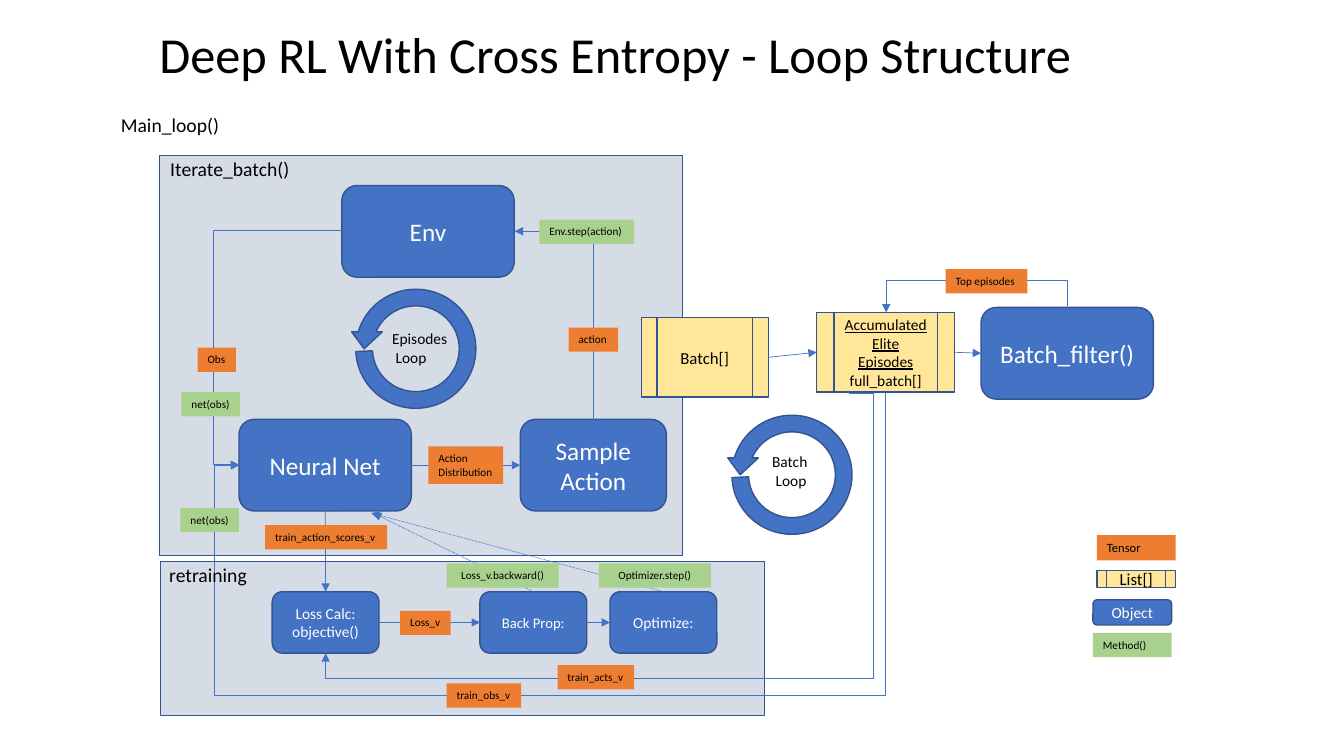
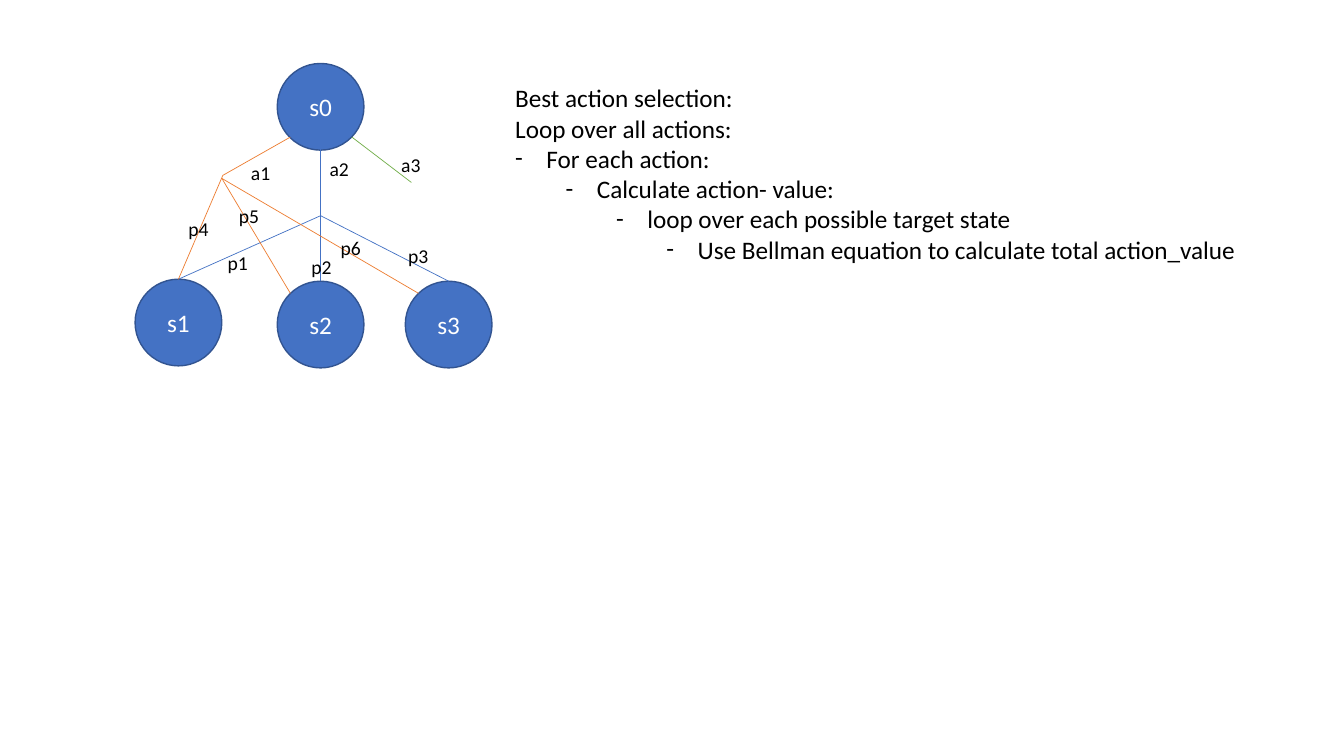
from dataclasses import dataclass
from enum import IntEnum
from typing import Optional

from lxml import etree
from pptx import Presentation
from pptx import util as u
from pptx.dml.color import RGBColor
from pptx.enum import dml, shapes, text
from pptx.oxml import ns

FONT = "Calibri"
BLUE, NAVY, ORANGE, GREEN = "4472C4", "325491", "ED7D31", "70AD47"
BLACK, WHITE = "000000", "FFFFFF"
CENTER, LEFT = text.PP_ALIGN.CENTER, text.PP_ALIGN.LEFT
MIDDLE, TOP = text.MSO_ANCHOR.MIDDLE, text.MSO_ANCHOR.TOP
PRESET = shapes.MSO_SHAPE
MARGIN = 0.1


class Side(IntEnum):
    """Connection sites of a rectangular shape."""
    TOP = 0
    LEFT = 1
    BOTTOM = 2
    RIGHT = 3


@dataclass(frozen=True)
class Style:
    """Look of one family of boxes."""
    preset: shapes.MSO_SHAPE
    fill: str
    outline: Optional[str] = NAVY
    ink: str = BLACK
    align: text.PP_ALIGN = CENTER
    anchor: text.MSO_ANCHOR = MIDDLE


PANEL = Style(PRESET.RECTANGLE, "D6DCE5")
OBJECT = Style(PRESET.ROUNDED_RECTANGLE, BLUE, ink=WHITE)
STATE = Style(PRESET.OVAL, BLUE, ink=WHITE)
LIST = Style(PRESET.FLOWCHART_PREDEFINED_PROCESS, "FFE699")
LOOP = Style(PRESET.CIRCULAR_ARROW, BLUE)
TENSOR = Style(PRESET.RECTANGLE, ORANGE, None, align=LEFT, anchor=TOP)
METHOD = Style(PRESET.RECTANGLE, "A9D18E", None, align=LEFT, anchor=TOP)
CALL = Style(PRESET.RECTANGLE, "A9D18E", None, anchor=TOP)


@dataclass(frozen=True)
class Box:
    """A styled shape with optional text."""
    style: Style
    left: float
    top: float
    width: float
    height: float
    words: str = ""
    size: float = 8


@dataclass(frozen=True)
class Label:
    """Plain black text."""
    words: str
    left: float
    top: float
    width: float = 0.41
    height: float = 0.34
    size: float = 14


@dataclass(frozen=True)
class Glue:
    """A straight arrow between two named boxes."""
    start: str
    start_side: Side
    end: str
    end_side: Side


@dataclass(frozen=True)
class Elbow:
    """A bent arrow: ends, unrotated frame, turn, flips and bends."""
    start: Optional[tuple[str, Side]]
    end: tuple[str, Side]
    frame: tuple[float, float, float, float]
    turn: int
    flips: str
    preset: str
    bends: tuple[float, ...] = ()


@dataclass(frozen=True)
class Segment:
    """A straight line between two points."""
    start: tuple[float, float]
    end: tuple[float, float]
    colour: str = BLUE


def rgb(value: str) -> RGBColor:
    """Turn a hex string into a colour."""
    return RGBColor.from_string(value)


def place(shape, left: float, top: float, width: float, height: float) -> None:
    """Set position and size in inches."""
    shape.left, shape.top = u.Inches(left), u.Inches(top)
    shape.width, shape.height = u.Inches(width), u.Inches(height)


def format_text(frame, size: float, ink: str = BLACK, align=LEFT, anchor=TOP) -> None:
    """Format every paragraph of a text frame."""
    frame.word_wrap = True
    frame.auto_size = text.MSO_AUTO_SIZE.NONE
    frame.vertical_anchor = anchor
    frame.margin_left = u.Inches(MARGIN)
    frame.margin_right = u.Inches(MARGIN if align == CENTER else 0)
    frame.margin_top = frame.margin_bottom = u.Inches(0.05)
    for paragraph in frame.paragraphs:
        paragraph.alignment = align
        paragraph.font.name = FONT
        paragraph.font.size = u.Pt(size)
        paragraph.font.color.rgb = rgb(ink)


def add_box(slide, box: Box):
    """Draw one box and return its shape."""
    style = box.style
    shape = slide.shapes.add_shape(style.preset, 0, 0, 0, 0)
    place(shape, box.left, box.top, box.width, box.height)
    shape.shadow.inherit = False
    shape.fill.solid()
    shape.fill.fore_color.rgb = rgb(style.fill)
    if style.outline:
        shape.line.color.rgb = rgb(style.outline)
        shape.line.width = u.Pt(1)
    else:
        shape.line.fill.background()
    if box.words:
        shape.text_frame.text = box.words
        format_text(shape.text_frame, box.size, style.ink, style.align, style.anchor)
    return shape


def add_loop(slide, left: float, top: float) -> None:
    """Draw a mirrored circular arrow."""
    shape = add_box(slide, Box(LOOP, left, top, 1.33, 1.32))
    for index, value in enumerate((0.125, 11.42, 204.58, 1.61, 0.115)):
        shape.adjustments[index] = value
    shape._element.spPr.find(ns.qn("a:xfrm")).set("flipH", "1")


def add_label(slide, label: Label) -> None:
    """Draw plain text."""
    shape = slide.shapes.add_textbox(0, 0, 0, 0)
    place(shape, label.left, label.top, label.width, label.height)
    shape.text_frame.text = label.words
    format_text(shape.text_frame, label.size)


def new_connector(slide, colour: str = BLUE, arrow: bool = True, dotted: bool = False,
                  start=(0, 0), end=(0, 0), kind=shapes.MSO_CONNECTOR.STRAIGHT):
    """Draw a thin connector without a shadow."""
    points = [u.Inches(value) for value in (*start, *end)]
    connector = slide.shapes.add_connector(kind, *points)
    connector.line.color.rgb = rgb(colour)
    connector.line.width = u.Pt(0.5)
    if dotted:
        connector.line.dash_style = dml.MSO_LINE.ROUND_DOT
    properties = connector._element.spPr
    if arrow:
        outline = properties.find(ns.qn("a:ln"))
        etree.SubElement(outline, ns.qn("a:tailEnd"), type="triangle")
    etree.SubElement(properties, ns.qn("a:effectLst"))
    return connector


def add_glue(slide, glue: Glue, nodes: dict) -> None:
    """Connect two boxes with a straight arrow."""
    connector = new_connector(slide)
    connector.begin_connect(nodes[glue.start], glue.start_side)
    connector.end_connect(nodes[glue.end], glue.end_side)


def add_elbow(slide, elbow: Elbow, nodes: dict) -> None:
    """Connect boxes with a bent arrow on a given route."""
    connector = new_connector(slide, kind=shapes.MSO_CONNECTOR.ELBOW)
    if elbow.start:
        connector.begin_connect(nodes[elbow.start[0]], elbow.start[1])
    connector.end_connect(nodes[elbow.end[0]], elbow.end[1])
    place(connector, *elbow.frame)
    frame = connector._element.spPr.find(ns.qn("a:xfrm"))
    frame.attrib.clear()
    frame.set("rot", str(elbow.turn * 60000))
    for flip in elbow.flips:
        frame.set("flip" + flip, "1")
    geometry = connector._element.spPr.find(ns.qn("a:prstGeom"))
    geometry.set("prst", elbow.preset)
    guides = geometry.find(ns.qn("a:avLst"))
    for number, bend in enumerate(elbow.bends, 1):
        etree.SubElement(guides, ns.qn("a:gd"), name=f"adj{number}",
                         fmla=f"val {round(bend * 100000)}")


def build_loop_slide(presentation) -> None:
    """Build the training loop diagram."""
    slide = presentation.slides.add_slide(presentation.slide_layouts[5])
    title = slide.shapes.title
    place(title, 1.48, 0.18, 9.33, 0.71)
    title.text_frame.text = "Deep RL With Cross Entropy - Loop Structure"
    format_text(title.text_frame, 36)

    for panel in (Box(PANEL, 1.59, 5.57, 5.99, 1.53), Box(PANEL, 1.58, 1.54, 5.19, 3.97)):
        add_box(slide, panel)
    boxes = {
        "env": Box(OBJECT, 3.39, 1.84, 1.71, 0.91, "Env", 18),
        "net": Box(OBJECT, 2.37, 4.16, 1.71, 0.91, "Neural Net", 18),
        "sample": Box(OBJECT, 5.16, 4.16, 1.45, 0.91, "Sample Action", 18),
        "filter": Box(OBJECT, 9.73, 3.05, 1.71, 0.91, "Batch_filter()", 18),
        "batch": Box(LIST, 6.36, 3.15, 1.26, 0.79, "Batch[]", 12),
        "elite": Box(LIST, 8.1, 3.1, 1.37, 0.79,
                     "Accumulated Elite Episodes\nfull_batch[]", 11),
        "loss": Box(OBJECT, 2.7, 5.87, 1.06, 0.61, "Loss Calc: objective()", 11),
        "back": Box(OBJECT, 4.76, 5.87, 1.06, 0.61, "Back Prop:", 10.5),
        "optimize": Box(OBJECT, 6.05, 5.87, 1.06, 0.61, "Optimize:", 11),
    }
    nodes = {name: add_box(slide, box) for name, box in boxes.items()}
    nodes["elite"].text_frame.paragraphs[0].font.underline = True

    for glue in (
        Glue("net", Side.RIGHT, "sample", Side.LEFT),
        Glue("batch", Side.RIGHT, "elite", Side.LEFT),
        Glue("elite", Side.RIGHT, "filter", Side.LEFT),
        Glue("net", Side.BOTTOM, "loss", Side.TOP),
        Glue("loss", Side.RIGHT, "back", Side.LEFT),
        Glue("back", Side.RIGHT, "optimize", Side.LEFT),
    ):
        add_glue(slide, glue, nodes)
    for elbow in (
        Elbow(("env", Side.LEFT), ("net", Side.LEFT), (2.37, 2.29, 1.02, 2.32),
              180, "V", "bentConnector3", (1.245,)),
        Elbow(("sample", Side.TOP), ("env", Side.RIGHT), (4.56, 2.84, 1.87, 0.78),
              270, "V", "bentConnector2"),
        Elbow(("filter", Side.TOP), ("elite", Side.TOP), (9.66, 2.17, 0.06, 1.8),
              270, "HV", "bentConnector3", (-4.31,)),
        Elbow(("elite", Side.BOTTOM), ("net", Side.LEFT), (5.22, 1.05, 0.72, 6.41),
              90, "", "bentConnector4", (4.176, 1.039)),
        Elbow(None, ("loss", Side.BOTTOM), (3.23, 3.9, 5.19, 2.58),
              180, "V", "bentConnector4", (-0.046, 1.097)),
    ):
        add_elbow(slide, elbow, nodes)
    for start, end in (((6.58, 5.87), (3.68, 5.09)), ((5.29, 5.87), (3.7, 5.09))):
        new_connector(slide, dotted=True, start=start, end=end)

    for tag in (
        Box(TENSOR, 1.96, 3.45, 0.38, 0.24, "Obs"),
        Box(TENSOR, 4.25, 4.43, 0.74, 0.37, "Action\nDistribution"),
        Box(TENSOR, 5.64, 3.25, 0.49, 0.24, "action"),
        Box(TENSOR, 9.38, 2.67, 0.81, 0.24, "Top episodes"),
        Box(TENSOR, 3.97, 6.06, 0.5, 0.24, "Loss_v"),
        Box(TENSOR, 4.43, 6.78, 0.74, 0.24, "train_obs_v"),
        Box(TENSOR, 5.53, 6.6, 0.76, 0.24, "train_acts_v"),
        Box(TENSOR, 2.63, 5.21, 1.21, 0.24, "train_action_scores_v"),
        Box(METHOD, 5.35, 2.18, 0.94, 0.24, "Env.step(action)"),
        Box(METHOD, 1.8, 3.89, 0.58, 0.24, "net(obs)"),
        Box(METHOD, 1.79, 5.04, 0.58, 0.24, "net(obs)"),
        Box(CALL, 5.94, 5.59, 1.11, 0.24, "Optimizer.step()"),
        Box(CALL, 4.43, 5.59, 1.11, 0.24, "Loss_v.backward()"),
        Box(TENSOR, 10.88, 5.31, 0.78, 0.25, "Tensor", 9),
        Box(LIST, 10.88, 5.66, 0.78, 0.17, "List[]", 12),
        Box(OBJECT, 10.84, 5.95, 0.78, 0.25, "Object", 11),
        Box(METHOD, 10.84, 6.28, 0.78, 0.24, "Method()"),
    ):
        add_box(slide, tag)
    for left, top in ((3.46, 2.8), (7.19, 4.05)):
        add_loop(slide, left, top)
    for label in (
        Label("Episodes\n Loop", 3.79, 3.22, 0.75, 0.47, 11),
        Label("Batch\n Loop", 7.56, 4.44, 0.56, 0.47, 11),
        Label("Iterate_batch()", 1.59, 1.51, 1.4),
        Label("retraining", 1.58, 5.54, 0.98),
        Label("Main_loop()", 1.1, 1.07, 1.19),
    ):
        add_label(slide, label)


def fill_outline(body, lines: list[tuple[Optional[int], str]]) -> None:
    """Write plain lines (no level) and dashed lines into a body placeholder."""
    frame = body.text_frame
    frame.text = "\n".join(words for _, words in lines)
    for paragraph, (level, _) in zip(frame.paragraphs, lines):
        paragraph.level = level or 0
        paragraph.space_before = u.Pt(0)
        paragraph.line_spacing = 1.0
        properties = paragraph._p.get_or_add_pPr()
        dashed = level is not None
        properties.set("marL", str(u.Inches(0.31 + 0.5 * level) if dashed else 0))
        properties.set("indent", str(u.Inches(-0.31) if dashed else 0))
        if dashed:
            etree.SubElement(properties, ns.qn("a:buFont"), typeface=FONT)
            etree.SubElement(properties, ns.qn("a:buChar"), char="-")
        else:
            etree.SubElement(properties, ns.qn("a:buNone"))
    format_text(frame, 18)


def build_state_slide(presentation) -> None:
    """Build the state tree and the action selection outline."""
    slide = presentation.slides.add_slide(presentation.slide_layouts[1])
    title = slide.shapes.title._element
    title.getparent().remove(title)
    body = slide.placeholders[1]
    place(body, 5.01, 0.77, 7.54, 2.22)
    fill_outline(body, [
        (None, "Best action selection:"), (None, "Loop over all actions:"),
        (0, "For each action:"), (1, "Calculate action- value:"),
        (2, "loop over each possible target state"),
        (3, "Use Bellman equation to calculate total action_value"),
    ])
    for index, (left, top) in enumerate(((2.75, 0.63), (1.34, 2.77), (2.75, 2.79), (4.02, 2.79))):
        add_box(slide, Box(STATE, left, top, 0.86, 0.86, f"s{index}", 18))
    split, fork = (3.18, 2.14), (2.2, 1.77)
    for line in (
        Segment((3.18, 1.48), (3.18, 2.79)), Segment(split, (4.45, 2.79)),
        Segment(split, (1.77, 2.77)), Segment((2.88, 1.36), (2.21, 1.74), ORANGE),
        Segment((2.21, 1.74), (1.77, 2.77), ORANGE), Segment(fork, (2.88, 2.91), ORANGE),
        Segment(fork, (4.15, 2.91), ORANGE), Segment((3.49, 1.36), (4.08, 1.81), GREEN),
    ):
        new_connector(slide, line.colour, arrow=False, start=line.start, end=line.end)
    for label in (
        Label("p1", 2.16, 2.44), Label("p2", 2.99, 2.48), Label("p3", 3.95, 2.37),
        Label("p4", 1.77, 2.1), Label("p5", 2.27, 1.97), Label("p6", 3.28, 2.29),
        Label("a1", 2.39, 1.55), Label("a2", 3.17, 1.51), Label("a3", 3.88, 1.47),
    ):
        add_label(slide, label)


def main() -> None:
    """Build and save the presentation."""
    presentation = Presentation()
    presentation.slide_width, presentation.slide_height = u.Inches(13.33), u.Inches(7.5)
    build_loop_slide(presentation)
    build_state_slide(presentation)
    presentation.save("out.pptx")


main()
